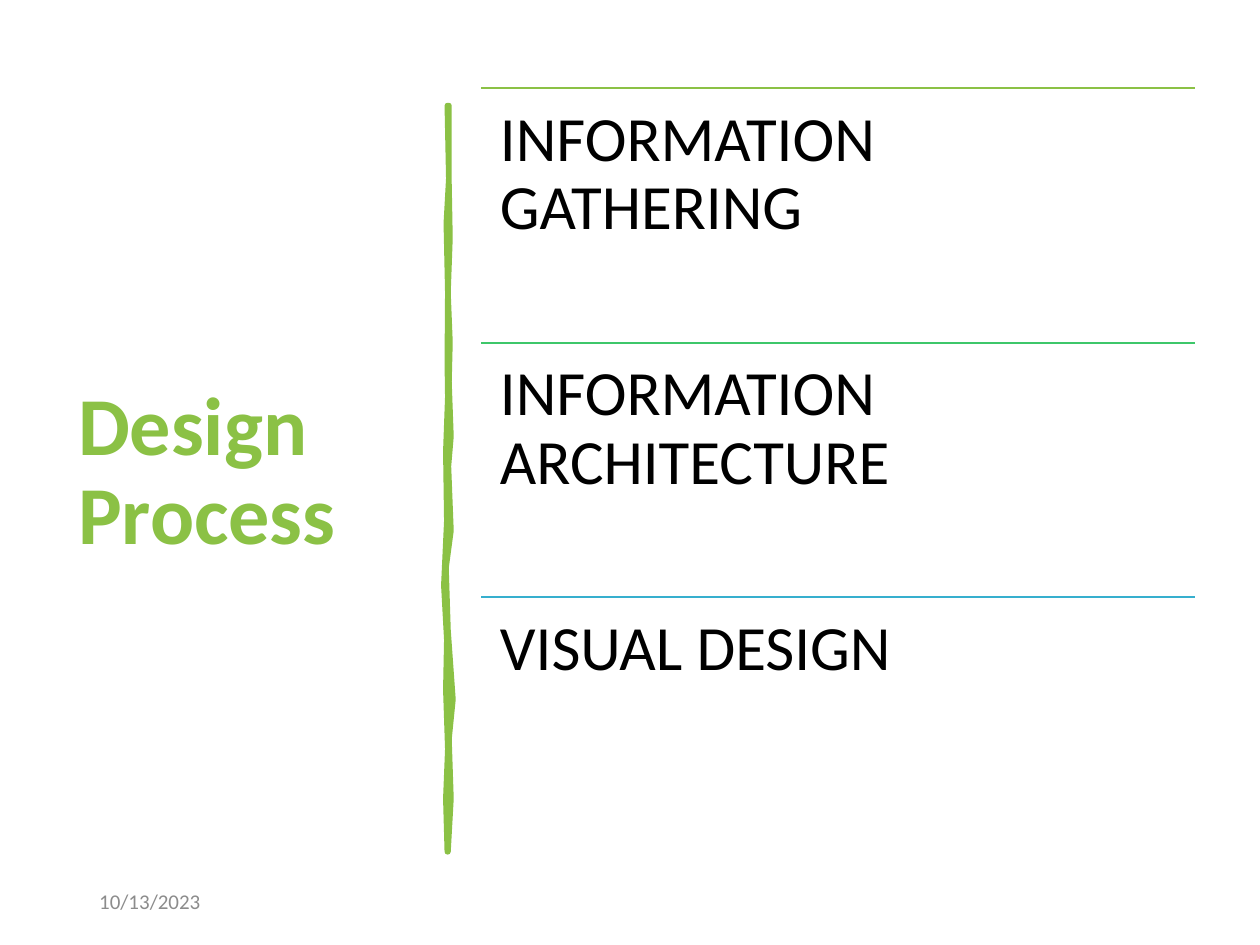
"""Build the Design Process slide."""
from pptx import Presentation
from pptx.dml.color import RGBColor
from pptx.enum.shapes import MSO_CONNECTOR
from pptx.enum.text import MSO_ANCHOR, MSO_AUTO_SIZE, PP_ALIGN
from pptx.oxml.ns import qn
from pptx.util import Cm, Pt
from lxml import etree

GREEN = RGBColor(0x8B, 0xC1, 0x45)
EMERALD = RGBColor(0x3E, 0xC7, 0x6A)
BLUE = RGBColor(0x36, 0xAF, 0xCE)
GREY = RGBColor(0x8C, 0x8C, 0x8C)
BLACK = RGBColor(0, 0, 0)
STRAIGHT = MSO_CONNECTOR.STRAIGHT
TOP, MIDDLE = MSO_ANCHOR.TOP, MSO_ANCHOR.MIDDLE
NO_FIT = MSO_AUTO_SIZE.NONE
LEFT = PP_ALIGN.LEFT

STEPS = [
    ("INFORMATION GATHERING", GREEN),
    ("INFORMATION ARCHITECTURE", EMERALD),
    ("VISUAL DESIGN", BLUE),
]
STEP_LEFT, STEP_TOP, STEP_WIDTH, STEP_HEIGHT = 9.7, 1.78, 14.38, 5.13

RIGHT_EDGE = [
    (9.05, 2.13), (9.05, 3.7), (9.07, 4.8), (9.03, 5.9), (9.07, 6.9),
    (9.05, 7.7), (9.09, 8.8), (9.04, 9.4), (9.09, 10.7), (8.99, 11.45),
    (9.03, 12.7), (9.13, 14.1), (9.05, 14.9), (9.09, 16.1), (9.03, 17.17),
]
LEFT_EDGE = [
    (9.02, 2.13), (9.05, 3.6), (9, 4.5), (9.03, 5.9), (9.02, 7.3),
    (9.03, 8), (8.99, 9.1), (9.01, 10.5), (8.95, 11.8), (9.01, 12.9),
    (8.99, 13.9), (9.03, 15.1), (8.99, 16.1), (9.02, 17.17),
]


class Deck:
    """Hold the style and the current slide."""

    font = "Calibri"

    def __init__(self, slide):
        self.s = slide

    def style_text(self, sp, text, size, color, anchor, spacing=1.0, bold=False):
        tf = sp.text_frame
        tf.word_wrap = True
        tf.auto_size = NO_FIT
        tf.vertical_anchor = anchor
        p = tf.paragraphs[0]
        p.text = text
        p.alignment = LEFT
        p.line_spacing = spacing
        p.font.name = self.font
        p.font.size = Pt(size)
        p.font.bold = bold
        p.font.color.rgb = color
        return tf

    def title(self, text, x, y, w, h):
        sp = self.s.shapes.title
        sp.left, sp.top, sp.width, sp.height = Cm(x), Cm(y), Cm(w), Cm(h)
        self.style_text(sp, text, 47, GREEN, MIDDLE, 0.9, True)

    def text(self, text, x, y, w, h, size, color, anchor, spacing=1.0, inset=None):
        sp = self.s.shapes.add_textbox(Cm(x), Cm(y), Cm(w), Cm(h))
        tf = self.style_text(sp, text, size, color, anchor, spacing)
        if inset is not None:
            tf.margin_left = tf.margin_right = Cm(inset)
            tf.margin_top = tf.margin_bottom = Cm(inset)

    def rule(self, x, y, w, color):
        c = self.s.shapes.add_connector(STRAIGHT, Cm(x), Cm(y), Cm(x + w), Cm(y))
        c.line.color.rgb = color
        c.line.width = Pt(1)
        etree.SubElement(c._element.spPr, qn("a:effectLst"))

    def brush(self, points, color):
        pts = [(Cm(x), Cm(y)) for x, y in points]
        fb = self.s.shapes.build_freeform(*pts[0])
        fb.add_line_segments(pts[1:], close=True)
        sp = fb.convert_to_shape()
        sp.shadow.inherit = False
        sp.fill.solid()
        sp.fill.fore_color.rgb = color
        sp.line.color.rgb = color
        sp.line.width = Pt(3.25)


def main():
    prs = Presentation()
    prs.slide_width, prs.slide_height = Cm(25.4), Cm(19.05)
    deck = Deck(prs.slides.add_slide(prs.slide_layouts[5]))
    deck.title("Design Process", 1.32, 1.78, 7.11, 15.52)
    deck.brush(RIGHT_EDGE + LEFT_EDGE[::-1], GREEN)
    deck.text("10/13/2023", 1.75, 17.65, 5.72, 1.02, 12, GREY, MIDDLE)
    for i, (label, color) in enumerate(STEPS):
        y = STEP_TOP + i * STEP_HEIGHT
        deck.rule(STEP_LEFT, y, STEP_WIDTH, color)
        deck.text(label, STEP_LEFT, y, STEP_WIDTH, STEP_HEIGHT, 36, BLACK, TOP, 0.9, 0.38)
    prs.save("out.pptx")


if __name__ == "__main__":
    main()
